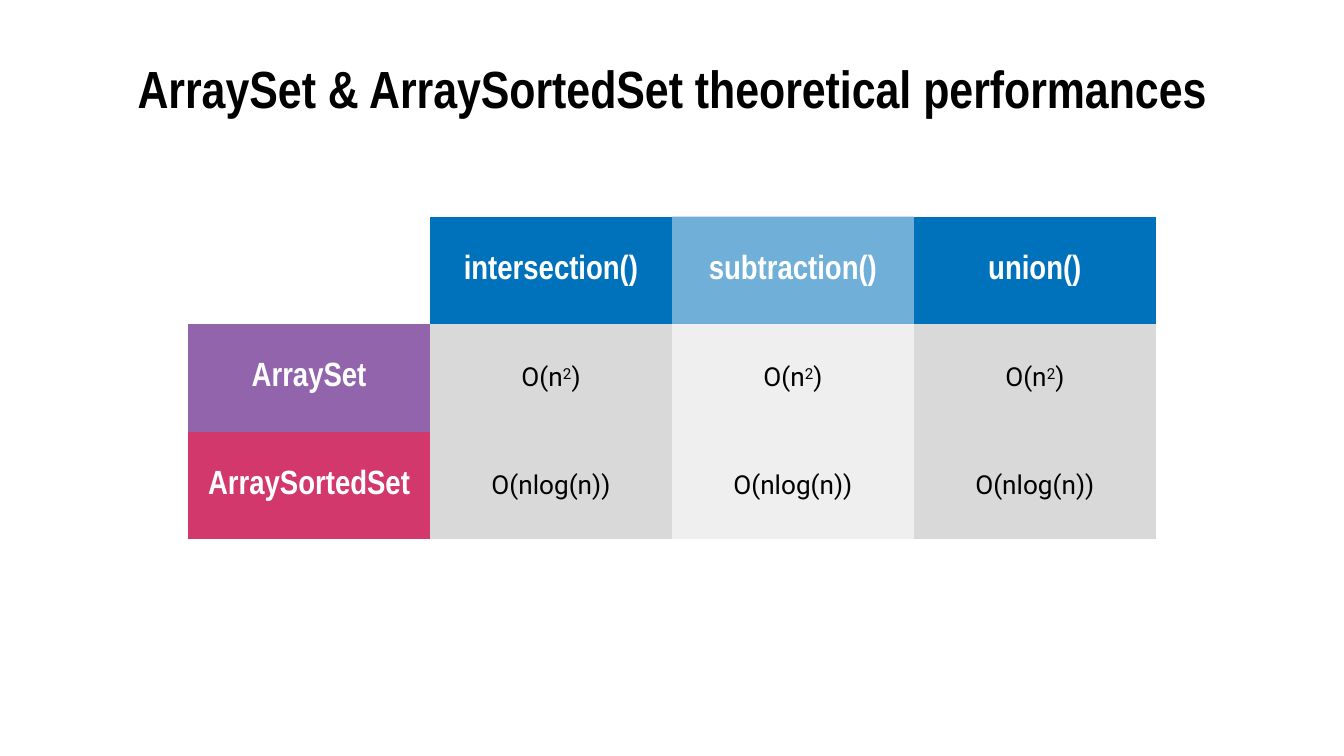
import pptx
import pptx.util
import pptx.dml.color
import pptx.enum.text
import pptx.oxml
import pptx.oxml.ns

WIDE = 10
HIGH = WIDE * 9 / 16
COL, ROW = 1.8, 0.8
INK, PAPER = "000000", "FFFFFF"
BLUE, VIOLET, PINK = "0072BB", "9164AB", "D2386C"
DARK, LIGHT = "D9D9D9", "EFEFEF"
PLAIN = "{2D5ABB26-0587-4C30-8999-92F81FD0307C}"

TITLE = {"name": "Arial Narrow", "size": pptx.util.Pt(28), "bold": True}
HEAD = {"name": "Arial Narrow", "size": pptx.util.Pt(18), "bold": True}
BODY = {"name": "Roboto", "size": pptx.util.Pt(14), "bold": False}

OPS = ["intersection()", "subtraction()", "union()"]
# Each set: name, header colour, cost as (text, raised) parts
SETS = [
    ("ArraySet", VIOLET, [("O(n", False), ("2", True), (")", False)]),
    ("ArraySortedSet", PINK, [("O(nlog(n))", False)]),
]


def paint(hue):
    return pptx.dml.color.RGBColor.from_string(hue)


def write(frame, parts, style, hue):
    line = frame.paragraphs[0]
    line.alignment = pptx.enum.text.PP_ALIGN.CENTER
    for text, raised in parts:
        run = line.add_run()
        run.text = text
        for key, value in style.items():
            setattr(run.font, key, value)
        run.font.color.rgb = paint(hue)
        if raised:
            run._r.get_or_add_rPr().set("baseline", "30000")


def inset(item):
    for side in ("left", "top", "right", "bottom"):
        setattr(item, "margin_" + side, pptx.util.Inches(0.1))
    item.vertical_anchor = pptx.enum.text.MSO_ANCHOR.MIDDLE


def fill(cell, parts, style, hue, back, alpha=100):
    inset(cell)
    write(cell.text_frame, parts, style, hue)
    cell.fill.solid()
    cell.fill.fore_color.rgb = paint(back)
    if alpha < 100:
        tint = cell._tc.tcPr.find(".//" + pptx.oxml.ns.qn("a:srgbClr"))
        tint.append(pptx.oxml.parse_xml(
            f'<a:alpha {pptx.oxml.ns.nsdecls("a")} val="{alpha * 1000}"/>'))


def add_title(slide, box, text):
    frame = slide.shapes.add_textbox(*map(pptx.util.Inches, box)).text_frame
    frame.word_wrap = True
    inset(frame)
    write(frame, [(text, False)], TITLE, INK)


def add_costs(slide, box):
    rows, cols = len(SETS) + 1, len(OPS) + 1
    table = slide.shapes.add_table(
        rows, cols, *map(pptx.util.Inches, box)).table
    table.first_row = table.horz_banding = False
    table._tbl.tblPr.find(pptx.oxml.ns.qn("a:tableStyleId")).text = PLAIN
    for col in table.columns:
        col.width = pptx.util.Inches(box[2] / cols)
    for row in table.rows:
        row.height = pptx.util.Inches(box[3] / rows)
    table.cell(0, 0).fill.background()

    # Operation headers, every second one paler
    for c, name in enumerate(OPS, 1):
        fill(table.cell(0, c), [(name, False)], HEAD, PAPER, BLUE,
             100 if c % 2 else 56)

    # One row of costs for each set
    for r, (name, hue, cost) in enumerate(SETS, 1):
        fill(table.cell(r, 0), [(name, False)], HEAD, PAPER, hue)
        for c in range(1, cols):
            fill(table.cell(r, c), cost, BODY, INK, DARK if c % 2 else LIGHT)


def main():
    deck = pptx.Presentation()
    deck.slide_width = pptx.util.Inches(WIDE)
    deck.slide_height = pptx.util.Inches(HIGH)
    slide = deck.slides.add_slide(deck.slide_layouts[6])
    add_title(slide, (WIDE * 0.05, HIGH * 0.08, WIDE * 0.9, 0.41),
              "ArraySet & ArraySortedSet theoretical performances")
    wide, high = COL * (len(OPS) + 1), ROW * (len(SETS) + 1)
    add_costs(slide, ((WIDE - wide) / 2, (HIGH - high) / 2, wide, high))
    deck.save("out.pptx")


if __name__ == "__main__":
    main()
